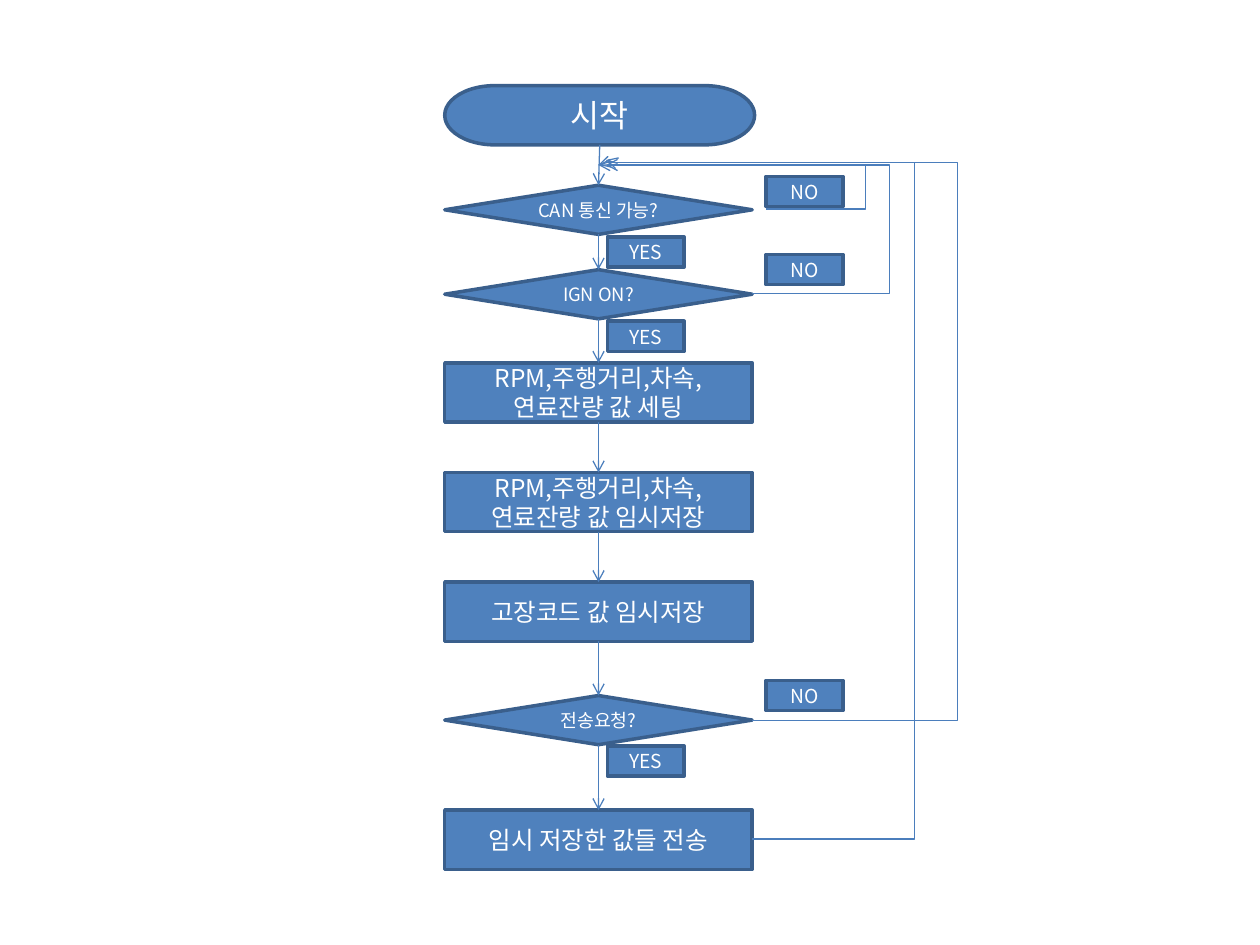
from lxml import etree
from pptx import Presentation
from pptx.dml.color import RGBColor
from pptx.enum.shapes import MSO_CONNECTOR, MSO_SHAPE
from pptx.enum.text import MSO_ANCHOR, PP_ALIGN
from pptx.oxml.ns import qn
from pptx.util import Inches, Pt

RECT = MSO_SHAPE.RECTANGLE
STEP = MSO_SHAPE.FLOWCHART_PROCESS
TEST = MSO_SHAPE.FLOWCHART_DECISION
START = MSO_SHAPE.FLOWCHART_TERMINATOR
LINE, ELBOW = MSO_CONNECTOR.STRAIGHT, MSO_CONNECTOR.ELBOW
CENTER, MIDDLE = PP_ALIGN.CENTER, MSO_ANCHOR.MIDDLE
TOP, BOTTOM = 0, 2
FONT = "Noto Sans CJK KR"
FILL, EDGE, WIRE, WHITE = "4F81BD", "3A5F8C", "4B7EBC", "FFFFFF"

LEFT, WIDTH, MID, RIGHT = 3.53, 2.44, 4.75, 5.97
NODES = [
    (START, 0.68, 2.46, 0.47, 18, "시작"),
    (TEST, 1.47, WIDTH, 0.39, 10.5, "CAN 통신 가능?"),
    (TEST, 2.14, WIDTH, 0.39, 10.5, "IGN ON?"),
    (STEP, 2.88, WIDTH, 0.47, 14, "RPM,주행거리,차속,연료잔량 값 세팅"),
    (STEP, 3.75, WIDTH, 0.47, 14, "RPM,주행거리,차속,연료잔량 값 임시저장"),
    (STEP, 4.62, WIDTH, 0.47, 14, "고장코드 값 임시저장"),
    (TEST, 5.52, WIDTH, 0.39, 10.5, "전송요청?"),
    (STEP, 6.43, WIDTH, 0.47, 14, "임시 저장한 값들 전송"),
]
LABELS = {
    "NO": (6.08, [1.4, 2.02, 5.4]),
    "YES": (4.82, [1.88, 2.55, 5.92]),
}
LOOPS = [
    ((6.08, 1.66), (MID, 1.31), 6.87, None),
    ((RIGHT, 2.33), (4.81, 1.31), 7.06, None),
    ((RIGHT, 6.66), (4.81, 1.27), 7.26, 1.29),
    ((RIGHT, 5.72), (MID, 1.31), 7.6, 1.29),
]


def rgb(text):
    return RGBColor.from_string(text)


def add_box(slide, kind, box, text, size):
    shape = slide.shapes.add_shape(kind, *map(Inches, box))
    shape.shadow.inherit = False
    shape.fill.solid()
    shape.fill.fore_color.rgb = rgb(FILL)
    shape.line.color.rgb = rgb(EDGE)
    shape.line.width = Pt(2)
    frame = shape.text_frame
    frame.word_wrap = True
    frame.vertical_anchor = MIDDLE
    if kind == TEST:
        frame.margin_left = frame.margin_right = 0
    para = frame.paragraphs[0]
    para.alignment = CENTER
    run = para.add_run()
    run.text = text
    run.font.size = Pt(size)
    run.font.name = FONT
    run.font.color.rgb = rgb(WHITE)
    etree.SubElement(run.font._element, qn("a:ea"), typeface=FONT)
    return shape


def add_wire(slide, kind, start, end):
    wire = slide.shapes.add_connector(kind, *map(Inches, (*start, *end)))
    wire.line.color.rgb = rgb(WIRE)
    wire.line.width = Pt(0.75)
    etree.SubElement(wire.line._get_or_add_ln(), qn("a:tailEnd"), type="arrow")
    etree.SubElement(wire._element.spPr, qn("a:effectLst"))
    return wire


def add_loop(slide, start, end, far, high):
    wire = add_wire(slide, ELBOW, start, end)
    turns = [(far - start[0]) / (end[0] - start[0])]
    geom = wire._element.spPr.find(qn("a:prstGeom"))
    if high is not None:
        geom.set("prst", "bentConnector4")
        turns.append((high - start[1]) / (end[1] - start[1]))
    guides = geom.find(qn("a:avLst"))
    for num, turn in enumerate(turns, 1):
        etree.SubElement(guides, qn("a:gd"), name=f"adj{num}",
                         fmla=f"val {round(turn * 100000)}")


def add_flow(slide):
    nodes = [add_box(slide, kind, (LEFT, top, width, height), text, size)
             for kind, top, width, height, size, text in NODES]
    for above, below in zip(nodes, nodes[1:]):
        wire = add_wire(slide, LINE, (MID, 1), (MID, 2))
        wire.begin_connect(above, BOTTOM)
        wire.end_connect(below, TOP)


def add_labels(slide):
    for text, (left, tops) in LABELS.items():
        for top in tops:
            add_box(slide, RECT, (left, top, 0.61, 0.24), text, 11)


def main():
    deck = Presentation()
    deck.slide_width, deck.slide_height = Inches(10), Inches(7.5)
    slide = deck.slides.add_slide(deck.slide_layouts[6])
    add_flow(slide)
    add_labels(slide)
    for loop in LOOPS:
        add_loop(slide, *loop)
    deck.save("out.pptx")


if __name__ == "__main__":
    main()
